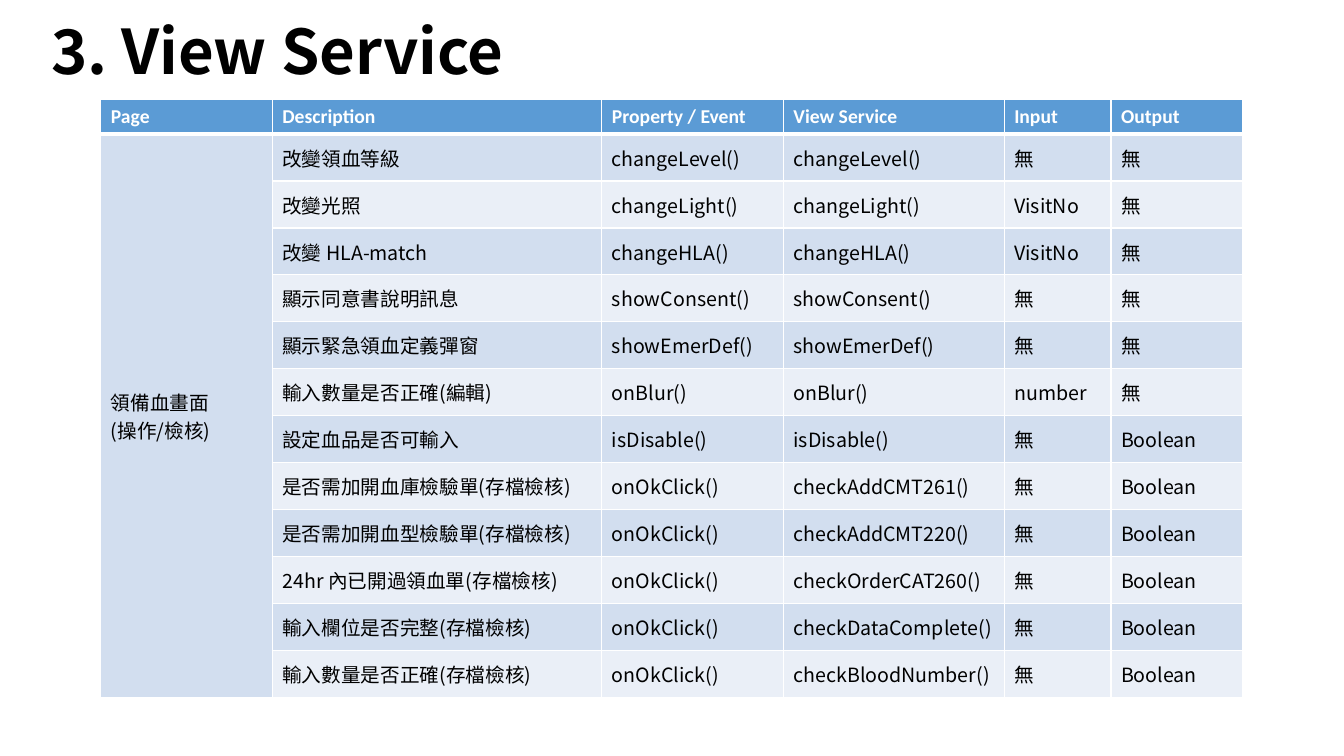
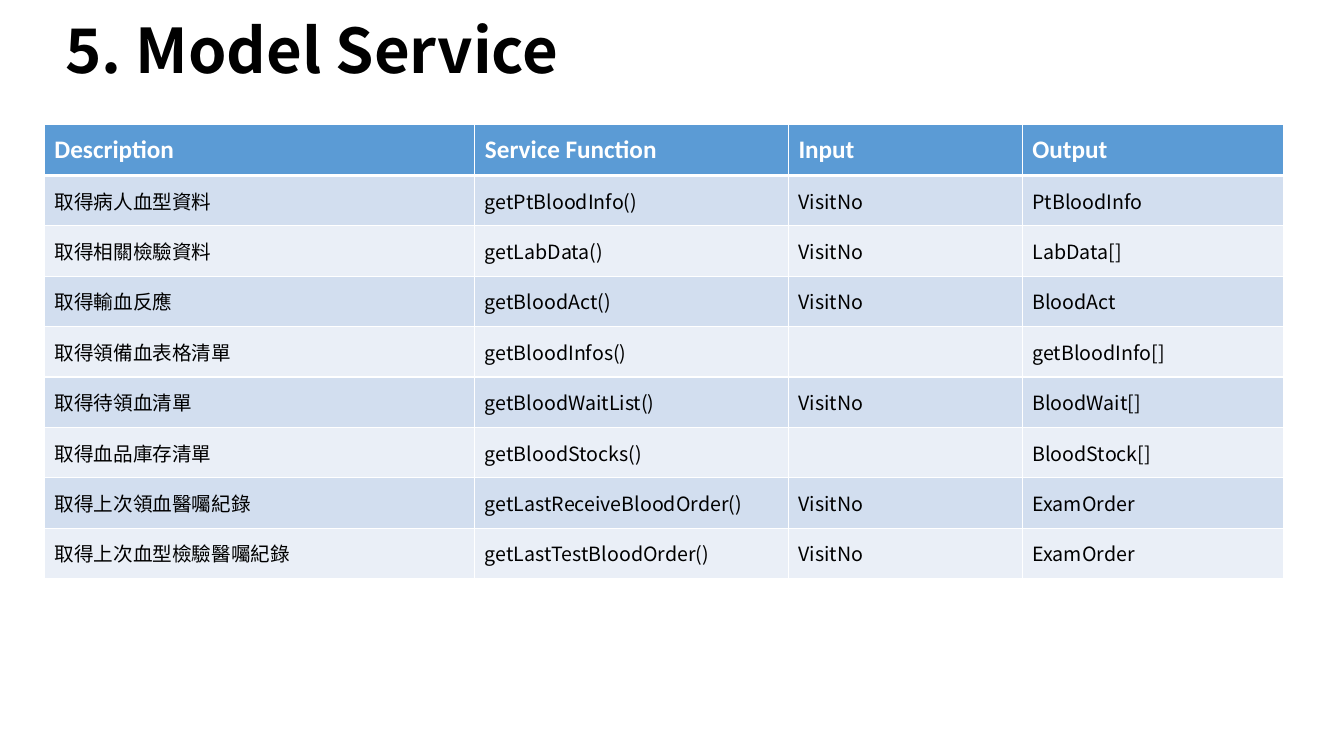
from lxml.etree import SubElement
from pptx import Presentation
from pptx.dml.color import RGBColor
from pptx.enum.text import MSO_ANCHOR
from pptx.oxml.ns import qn
from pptx.util import Inches, Pt

COLORS = {
    "text": "000000",
    "header": "5B9BD5",
    "header_text": "FFFFFF",
    "border": "FFFFFF",
    "odd_row": "D2DEEF",
    "even_row": "EAEFF7",
}
BODY_FONT = "Noto Sans CJK SC"
HEADER_FONT = "Calibri"
NONE = "無"

VIEW_COLUMNS = {
    "Page": 1.7, "Description": 3.27, "Property / Event": 1.8,
    "View Service": 2.19, "Input": 1.06, "Output": 1.3,
}
VIEW_PAGE = "領備血畫面\n(操作/檢核)"
VIEW_ROWS = [
    ("改變領血等級", "changeLevel()", "changeLevel()", NONE, NONE),
    ("改變光照", "changeLight()", "changeLight()", "VisitNo", NONE),
    ("改變 HLA-match", "changeHLA()", "changeHLA()", "VisitNo", NONE),
    ("顯示同意書說明訊息", "showConsent()", "showConsent()", NONE, NONE),
    ("顯示緊急領血定義彈窗", "showEmerDef()", "showEmerDef()", NONE, NONE),
    ("輸入數量是否正確(編輯)", "onBlur()", "onBlur()", "number", NONE),
    ("設定血品是否可輸入", "isDisable()", "isDisable()", NONE, "Boolean"),
    ("是否需加開血庫檢驗單(存檔檢核)", "onOkClick()", "checkAddCMT261()", NONE, "Boolean"),
    ("是否需加開血型檢驗單(存檔檢核)", "onOkClick()", "checkAddCMT220()", NONE, "Boolean"),
    ("24hr 內已開過領血單(存檔檢核)", "onOkClick()", "checkOrderCAT260()", NONE, "Boolean"),
    ("輸入欄位是否完整(存檔檢核)", "onOkClick()", "checkDataComplete()", NONE, "Boolean"),
    ("輸入數量是否正確(存檔檢核)", "onOkClick()", "checkBloodNumber()", NONE, "Boolean"),
]

MODEL_COLUMNS = {
    "Description": 4.27, "Service Function": 3.11, "Input": 2.32, "Output": 2.59,
}
MODEL_ROWS = [
    ("取得病人血型資料", "getPtBloodInfo()", "VisitNo", "PtBloodInfo"),
    ("取得相關檢驗資料", "getLabData()", "VisitNo", "LabData[]"),
    ("取得輸血反應", "getBloodAct()", "VisitNo", "BloodAct"),
    ("取得領備血表格清單", "getBloodInfos()", "", "getBloodInfo[]"),
    ("取得待領血清單", "getBloodWaitList()", "VisitNo", "BloodWait[]"),
    ("取得血品庫存清單", "getBloodStocks()", "", "BloodStock[]"),
    ("取得上次領血醫囑紀錄", "getLastReceiveBloodOrder()", "VisitNo", "ExamOrder"),
    ("取得上次血型檢驗醫囑紀錄", "getLastTestBloodOrder()", "VisitNo", "ExamOrder"),
]


class Deck:
    """Holds the shared style and the slide being built."""

    def __init__(self):
        self.presentation = Presentation()
        self.presentation.slide_width = Inches(13.33)
        self.presentation.slide_height = Inches(7.5)
        self.slide = None

    def add_slide(self):
        blank = self.presentation.slide_layouts[6]
        self.slide = self.presentation.slides.add_slide(blank)

    def set_text(self, text_frame, text, size, font=BODY_FONT, color="text", bold=False):
        text_frame.text = text
        for paragraph in text_frame.paragraphs:
            for run in paragraph.runs:
                run.font.size = Pt(size)
                run.font.bold = bold
                run.font.color.rgb = RGBColor.from_string(COLORS[color])
                run.font.name = font
                SubElement(run._r.get_or_add_rPr(), qn("a:ea"), typeface=font)

    def title(self, text, left, top, width, height):
        box = self.slide.shapes.add_textbox(
            Inches(left), Inches(top), Inches(width), Inches(height))
        frame = box.text_frame
        frame.word_wrap = True
        frame.vertical_anchor = MSO_ANCHOR.MIDDLE
        self.set_text(frame, text, 44, bold=True)
        frame.paragraphs[0].line_spacing = 0.9

    def borders(self, cell, top, bottom):
        """Draw the cell's borders; top and bottom are widths in points."""
        properties = cell._tc.get_or_add_tcPr()
        for side, width in (("L", 1), ("R", 1), ("T", top), ("B", bottom)):
            line = SubElement(properties, qn(f"a:ln{side}"), w=str(Pt(width)))
            fill = SubElement(line, qn("a:solidFill"))
            SubElement(fill, qn("a:srgbClr"), val=COLORS["border"])

    def table(self, columns, rows, left, top, height, header_height, header_size):
        """Add a banded table whose body rows share the height below the header."""
        table = self.slide.shapes.add_table(
            len(rows) + 1, len(columns), Inches(left), Inches(top),
            Inches(sum(columns.values())), Inches(height)).table
        for column, width in zip(table.columns, columns.values()):
            column.width = Inches(width)
        row_height = (height - header_height) / len(rows)
        for row_index, texts in enumerate([tuple(columns), *rows]):
            is_header = row_index == 0
            table.rows[row_index].height = Inches(header_height if is_header else row_height)
            band = "header" if is_header else "odd_row" if row_index % 2 else "even_row"
            for column_index, text in enumerate(texts):
                cell = table.cell(row_index, column_index)
                cell.vertical_anchor = MSO_ANCHOR.MIDDLE
                self.borders(cell, 3 if row_index == 1 else 1, 3 if is_header else 1)
                cell.fill.solid()
                cell.fill.fore_color.rgb = RGBColor.from_string(COLORS[band])
                if is_header:
                    self.set_text(cell.text_frame, text, header_size, HEADER_FONT,
                                  "header_text", bold=True)
                else:
                    self.set_text(cell.text_frame, text, 14)
        return table


def view_service(deck):
    deck.add_slide()
    deck.title("3. View Service", 0.41, -0.1, 9.3, 1.28)
    rows = [("" if index else VIEW_PAGE, *row) for index, row in enumerate(VIEW_ROWS)]
    table = deck.table(VIEW_COLUMNS, rows, left=1, top=0.99, height=5.93,
                       header_height=0.34, header_size=14)
    table.cell(1, 0).merge(table.cell(len(rows), 0))


def model_service(deck):
    deck.add_slide()
    deck.title("5. Model Service", 0.55, 0.14, 12.17, 0.78)
    deck.table(MODEL_COLUMNS, MODEL_ROWS, left=0.44, top=1.23, height=4.51,
               header_height=0.51, header_size=18)


def main():
    deck = Deck()
    view_service(deck)
    model_service(deck)
    deck.presentation.save("out.pptx")


if __name__ == "__main__":
    main()
